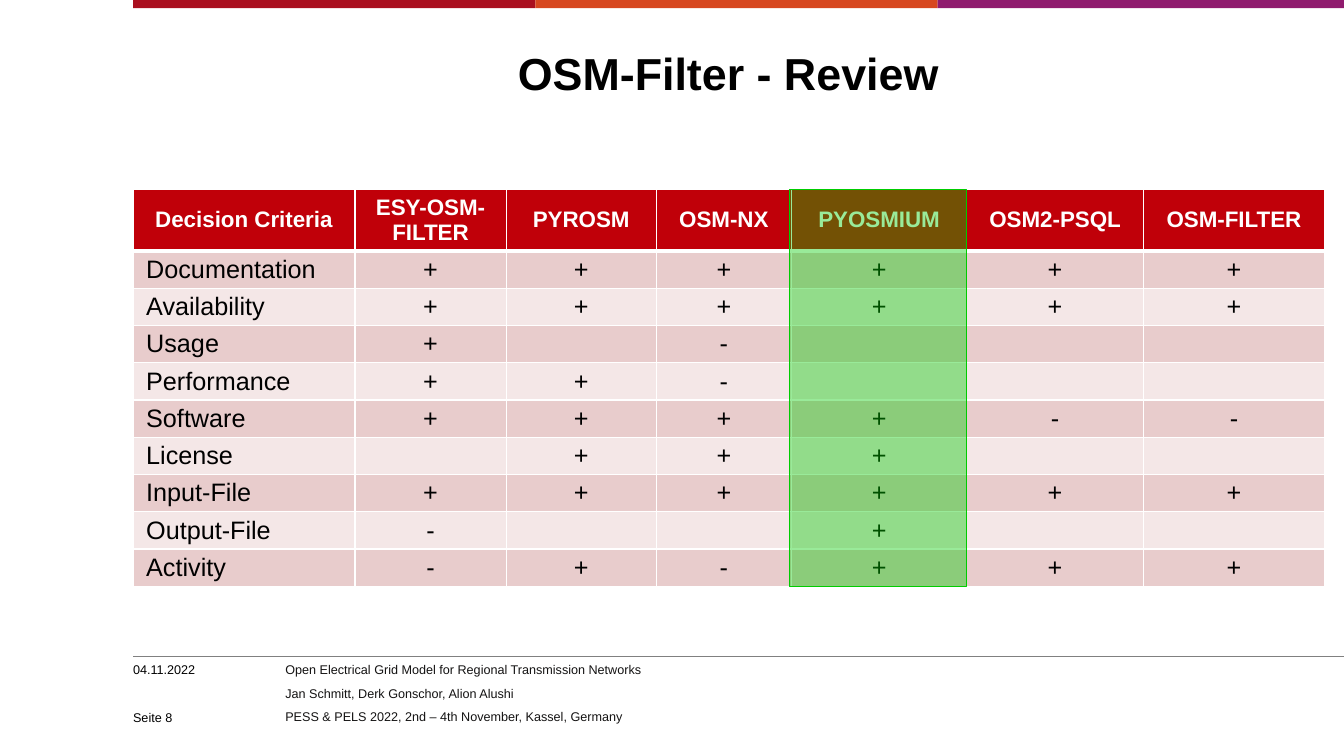
from dataclasses import dataclass

from lxml import etree
from pptx import Presentation, util as u
from pptx.dml.color import RGBColor
from pptx.enum import shapes, text
from pptx.oxml import ns

BLACK = RGBColor(0x00, 0x00, 0x00)
WHITE = RGBColor(0xFF, 0xFF, 0xFF)
INK = RGBColor(0x14, 0x13, 0x13)
GREY = RGBColor(0x80, 0x80, 0x80)
CRIMSON = RGBColor(0xAA, 0x0F, 0x1F)
ORANGE = RGBColor(0xD7, 0x47, 0x1F)
PURPLE = RGBColor(0x90, 0x1B, 0x6E)
HEADER_RED = RGBColor(0xC0, 0x00, 0x09)
ROSE = RGBColor(0xE8, 0xCC, 0xCC)
PALE_ROSE = RGBColor(0xF4, 0xE7, 0xE7)
GREEN = RGBColor(0x00, 0xCC, 0x00)

FONT = "Arial"
LEFT, WIDTH = 1.32, 11.81
TABLE_TOP, TABLE_HEIGHT = 1.88, 3.94
COLUMN_WIDTHS = [2.2, 1.5, 1.49, 1.34, 1.74, 1.75, 1.8]
HEADER_HEIGHT, ROW_HEIGHT = 0.61, 0.37
HEADINGS = ["Decision Criteria", "ESY-OSM-FILTER", "PYROSM", "OSM-NX",
            "PYOSMIUM", "OSM2-PSQL", "OSM-FILTER"]


@dataclass
class Criterion:
    name: str
    ratings: str


@dataclass
class Band:
    left: float
    width: float
    color: RGBColor


@dataclass
class Note:
    left: float
    top: float
    width: float
    height: float
    lines: list[str]
    color: RGBColor = BLACK
    anchor: text.MSO_ANCHOR = text.MSO_ANCHOR.TOP
    wrap: bool = False


CRITERIA = [
    Criterion("Documentation", "++++++"),
    Criterion("Availability", "++++++"),
    Criterion("Usage", "+ -   "),
    Criterion("Performance", "++-   "),
    Criterion("Software", "++++--"),
    Criterion("License", " +++  "),
    Criterion("Input-File", "++++++"),
    Criterion("Output-File", "-  +  "),
    Criterion("Activity", "-+-+++"),
]
BANDS = [Band(1.32, 3.99, CRIMSON), Band(5.31, 3.99, ORANGE), Band(9.3, 4.03, PURPLE)]
NOTES = [
    Note(2.83, 6.57, 5.75, 0.6,
         ["Open Electrical Grid Model for Regional Transmission Networks",
          "Jan Schmitt, Derk Gonschor, Alion Alushi",
          "PESS & PELS 2022, 2nd – 4th November, Kassel, Germany"], INK),
    Note(LEFT, 6.57, 1.42, 0.2, ["04.11.2022"]),
    Note(LEFT, 6.96, 1.42, 0.23, ["Seite 8"], anchor=text.MSO_ANCHOR.BOTTOM, wrap=True),
]


def style_runs(paragraph, size: float, color: RGBColor, bold: bool = False) -> None:
    for run in paragraph.runs:
        run.font.name = FONT
        run.font.size = u.Pt(size)
        run.font.bold = bold
        run.font.color.rgb = color


def clear_margins(frame) -> None:
    frame.margin_left = frame.margin_top = frame.margin_right = frame.margin_bottom = 0


def add_rectangle(slide, left: float, top: float, width: float, height: float,
                  color: RGBColor):
    rectangle = slide.shapes.add_shape(
        shapes.MSO_SHAPE.RECTANGLE,
        u.Inches(left), u.Inches(top), u.Inches(width), u.Inches(height))
    rectangle.shadow.inherit = False
    rectangle.fill.solid()
    rectangle.fill.fore_color.rgb = color
    rectangle.line.fill.background()
    return rectangle


def add_note(slide, note: Note) -> None:
    frame = slide.shapes.add_textbox(
        u.Inches(note.left), u.Inches(note.top),
        u.Inches(note.width), u.Inches(note.height)).text_frame
    clear_margins(frame)
    frame.word_wrap = note.wrap
    frame.vertical_anchor = note.anchor
    frame.text = "\n".join(note.lines)
    for paragraph in frame.paragraphs:
        paragraph.space_after = u.Pt(6)
        style_runs(paragraph, 9, note.color)


def add_footer_rule(slide) -> None:
    rule = slide.shapes.add_connector(
        shapes.MSO_CONNECTOR.STRAIGHT,
        u.Inches(LEFT), u.Inches(6.51), u.Inches(13.33), u.Inches(6.51))
    rule.line.color.rgb = GREY
    rule.line.width = u.Pt(0.5)
    etree.SubElement(rule.element.spPr, ns.qn("a:effectLst"))


def set_borders(cell, top: float, bottom: float) -> None:
    properties = cell._tc.get_or_add_tcPr()
    for side, points in (("L", 1), ("R", 1), ("T", top), ("B", bottom)):
        border = etree.SubElement(properties, ns.qn(f"a:ln{side}"), w=str(u.Pt(points)))
        fill = etree.SubElement(border, ns.qn("a:solidFill"))
        etree.SubElement(fill, ns.qn("a:srgbClr"), val=str(WHITE))


def add_review_table(slide) -> None:
    rows = [HEADINGS] + [[c.name, *c.ratings] for c in CRITERIA]
    review = slide.shapes.add_table(
        len(rows), len(HEADINGS), u.Inches(LEFT), u.Inches(TABLE_TOP),
        u.Inches(WIDTH), u.Inches(TABLE_HEIGHT)).table
    for column, width in zip(review.columns, COLUMN_WIDTHS):
        column.width = u.Inches(width)
    for r, values in enumerate(rows):
        header = r == 0
        review.rows[r].height = u.Inches(HEADER_HEIGHT if header else ROW_HEIGHT)
        for c, value in enumerate(values):
            cell = review.cell(r, c)
            cell.margin_left = cell.margin_right = u.Inches(0.13)
            cell.margin_top = cell.margin_bottom = 0
            cell.vertical_anchor = text.MSO_ANCHOR.MIDDLE
            set_borders(cell, 3 if r == 1 else 1, 3 if header else 1)
            cell.fill.solid()
            cell.fill.fore_color.rgb = (
                HEADER_RED if header else ROSE if r % 2 else PALE_ROSE)
            cell.text_frame.text = value.strip()
            paragraph = cell.text_frame.paragraphs[0]
            paragraph.alignment = (
                text.PP_ALIGN.CENTER if header or c else text.PP_ALIGN.JUSTIFY)
            style_runs(paragraph, 16 if header else 18,
                       WHITE if header else BLACK, header)


def add_highlight(slide) -> None:
    highlight = add_rectangle(slide, 7.83, TABLE_TOP, 1.75, TABLE_HEIGHT, GREEN)
    color = highlight.element.spPr.find(f"{ns.qn('a:solidFill')}/{ns.qn('a:srgbClr')}")
    etree.SubElement(color, ns.qn("a:alpha"), val="40000")
    highlight.line.color.rgb = GREEN
    highlight.line.width = u.Pt(0.5)


def set_title(slide) -> None:
    title = slide.shapes.title
    title.left, title.top = u.Inches(LEFT), u.Inches(0.57)
    title.width, title.height = u.Inches(WIDTH), u.Inches(0.78)
    frame = title.text_frame
    clear_margins(frame)
    frame.auto_size = text.MSO_AUTO_SIZE.NONE
    frame.vertical_anchor = text.MSO_ANCHOR.TOP
    frame.text = "OSM-Filter - Review"
    heading = frame.paragraphs[0]
    heading.alignment = text.PP_ALIGN.CENTER
    heading.line_spacing = u.Pt(30)
    style_runs(heading, 32, BLACK, True)


def main() -> None:
    deck = Presentation()
    deck.slide_width, deck.slide_height = u.Inches(13.33), u.Inches(7.5)
    slide = deck.slides.add_slide(deck.slide_layouts[5])
    set_title(slide)
    for band in BANDS:
        add_rectangle(slide, band.left, 0, band.width, 0.08, band.color)
    add_footer_rule(slide)
    for note in NOTES:
        add_note(slide, note)
    add_review_table(slide)
    add_highlight(slide)
    deck.save("out.pptx")


if __name__ == "__main__":
    main()
